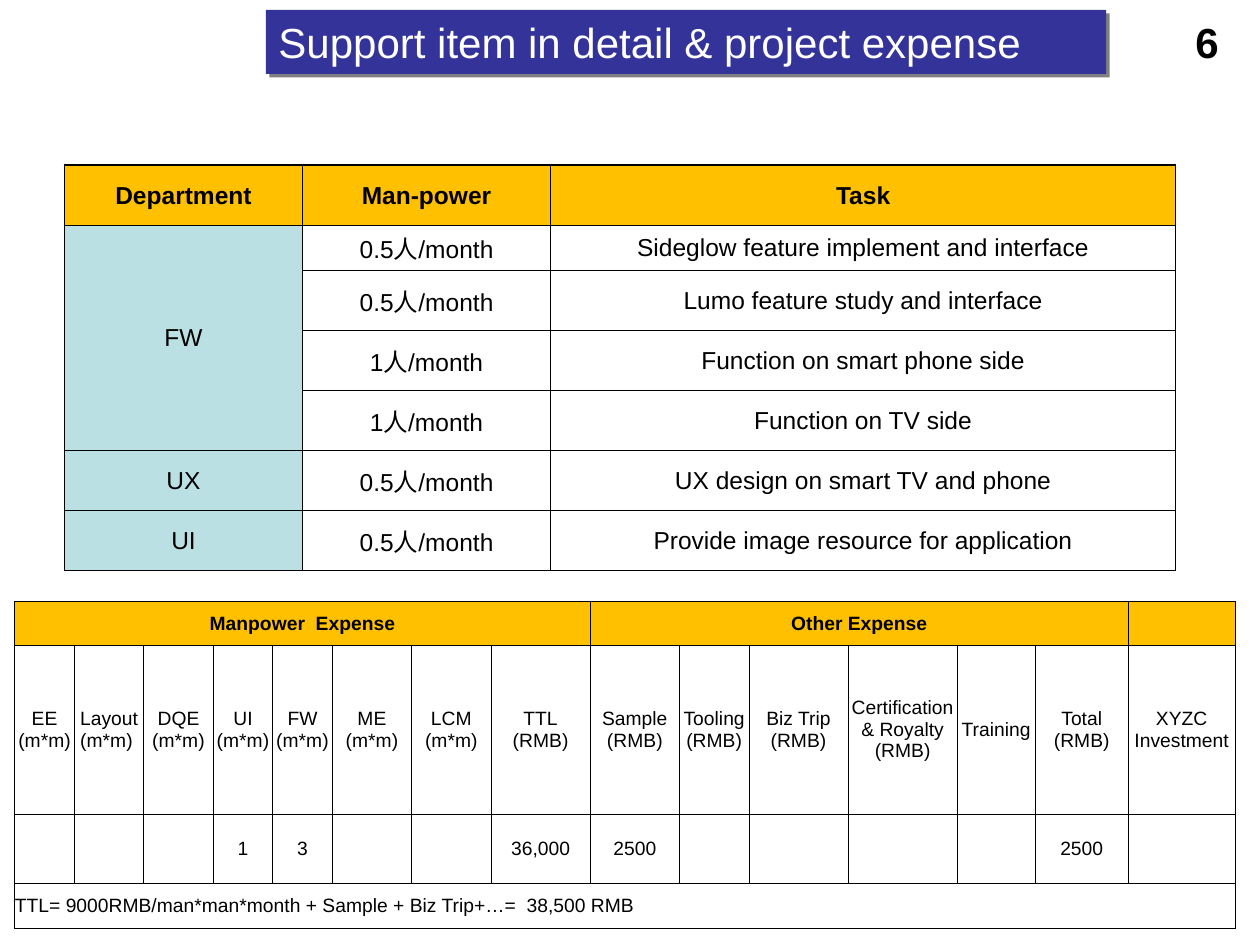
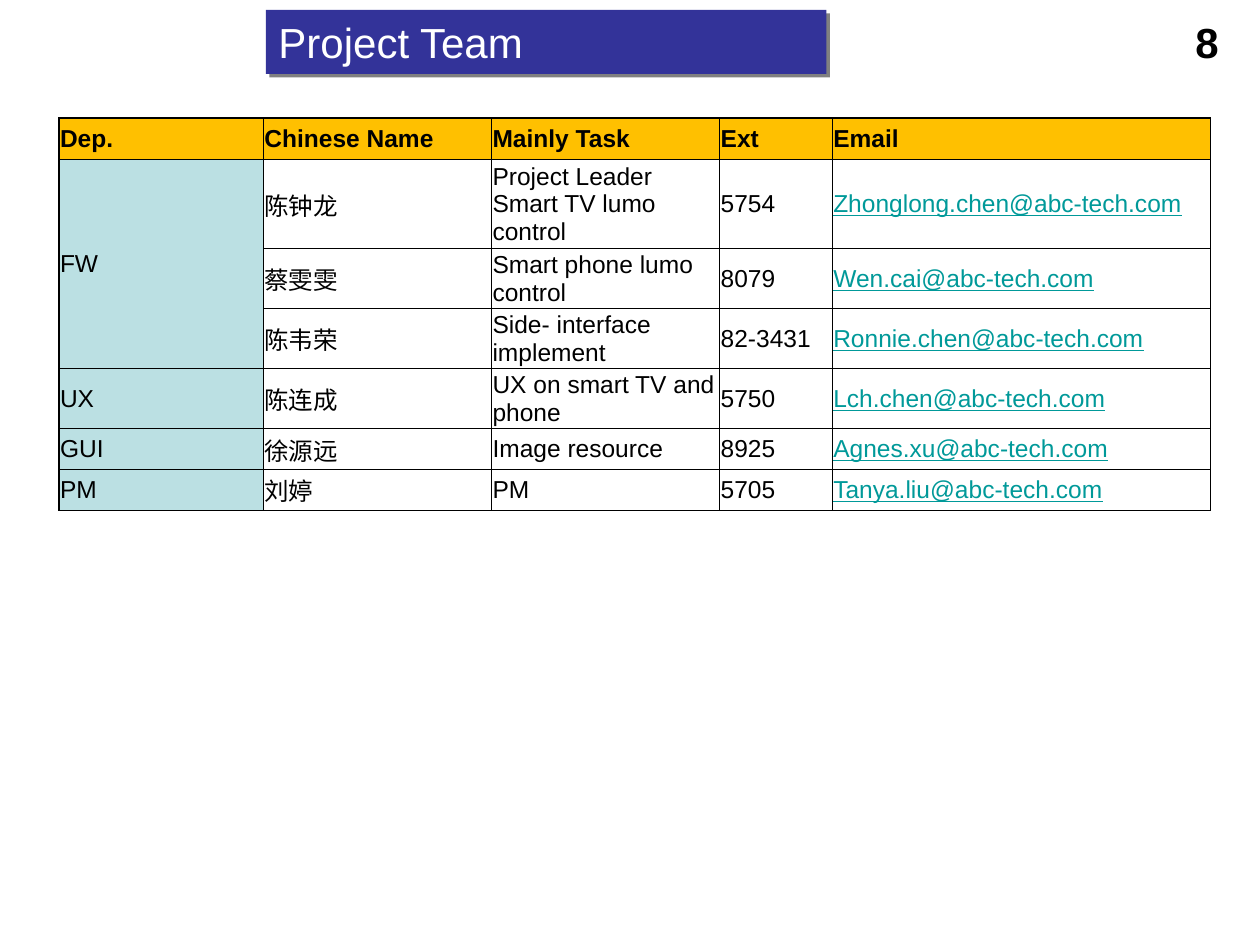
from lxml.etree import SubElement
from pptx import Presentation
from pptx.dml.color import RGBColor
from pptx.enum.text import MSO_ANCHOR, MSO_AUTO_SIZE, PP_ALIGN
from pptx.oxml.ns import qn
from pptx.util import Cm, Pt

GOLD = RGBColor(0xFF, 0xC0, 0x00)
PALE_TEAL = RGBColor(0xBB, 0xE0, 0xE3)
INDIGO = RGBColor(0x33, 0x33, 0x99)
LINK_TEAL = RGBColor(0x00, 0x99, 0x99)
BLACK = RGBColor(0x00, 0x00, 0x00)
WHITE = RGBColor(0xFF, 0xFF, 0xFF)
GREY = RGBColor(0x80, 0x80, 0x80)
FONT = "Arial"
CHINESE_FONT = "Noto Sans CJK SC"

presentation = Presentation()
presentation.slide_width = Cm(25.4)
presentation.slide_height = Cm(19.05)


def format_text(text_frame, size, color=BLACK, bold=False, alignment=PP_ALIGN.LEFT):
    for paragraph in text_frame.paragraphs:
        paragraph.alignment = alignment
        for run in paragraph.runs:
            run.font.name = FONT
            run.font.size = Pt(size)
            run.font.bold = bold
            run.font.underline = color == LINK_TEAL
            run.font.color.rgb = color
            SubElement(run.font._element, qn("a:ea"), typeface=CHINESE_FONT)


def add_grid(slide, left, top, widths, heights, rows, merges, size, inset=0,
             alignment=PP_ALIGN.LEFT, departments=True, heavy_sides=""):
    table = slide.shapes.add_table(len(heights), len(widths), Cm(left), Cm(top),
                                   Cm(sum(widths)), Cm(sum(heights))).table
    table.first_row = False
    table.horz_banding = False
    for column, width in zip(table.columns, widths):
        column.width = Cm(width)
    for row, height in zip(table.rows, heights):
        row.height = Cm(height)
    for row_index, row in enumerate(rows):
        for column_index, text in enumerate(row):
            cell = table.cell(row_index, column_index)
            cell.margin_left = cell.margin_right = cell.margin_top = Cm(inset)
            cell.margin_bottom = 0
            cell.vertical_anchor = MSO_ANCHOR.MIDDLE
            cell.text_frame.text = text
            format_text(cell.text_frame, size, LINK_TEAL if "@" in text else BLACK,
                        row_index == 0, alignment)
            edges = {"L": column_index == 0, "R": column_index == len(widths) - 1,
                     "T": row_index == 0, "B": False}
            for side, is_outer in edges.items():
                weight = Pt(1 if is_outer and side in heavy_sides else 0.5)
                line = SubElement(cell._tc.get_or_add_tcPr(), qn(f"a:ln{side}"), w=str(weight))
                SubElement(SubElement(line, qn("a:solidFill")), qn("a:srgbClr"), val=str(BLACK))
            if row_index == 0 or departments and column_index == 0:
                cell.fill.solid()
                cell.fill.fore_color.rgb = PALE_TEAL if row_index else GOLD
            else:
                cell.fill.background()
    for first_row, first_column, last_row, last_column in merges:
        table.cell(first_row, first_column).merge(table.cell(last_row, last_column))
    return table


slides = []
for heading, heading_width, number in [
    ("Support item in detail & project expense", 16.94, "6"),
    ("Project Team", 11.3, "8"),
]:
    slide = presentation.slides.add_slide(presentation.slide_layouts[5])
    slides.append(slide)

    title = slide.shapes.title
    title.left, title.top, title.width, title.height = Cm(5.36), Cm(0.2), Cm(heading_width), Cm(1.29)
    title.fill.solid()
    title.fill.fore_color.rgb = INDIGO
    title.line.fill.background()
    title.shadow.inherit = False
    effects = title._element.spPr.find(qn("a:effectLst"))
    shadow = SubElement(effects, qn("a:outerShdw"), dist=str(Pt(2.8)), dir="2700000",
                        algn="ctr", rotWithShape="0")
    SubElement(shadow, qn("a:srgbClr"), val=str(GREY))
    title.text_frame.text = heading
    title.text_frame.word_wrap = True
    title.text_frame.auto_size = MSO_AUTO_SIZE.NONE
    title.text_frame.vertical_anchor = MSO_ANCHOR.MIDDLE
    format_text(title.text_frame, 24, WHITE)

    number_box = slide.shapes.add_textbox(Cm(18.9), Cm(0.2), Cm(5.92), Cm(1.3))
    number_box.text_frame.text = number
    number_box.text_frame.word_wrap = True
    number_box.text_frame.vertical_anchor = MSO_ANCHOR.MIDDLE
    format_text(number_box.text_frame, 24, bold=True, alignment=PP_ALIGN.RIGHT)

expense_slide, team_slide = slides

support_rows = [
    ["Department", "Man-power", "Task"],
    ["FW", "0.5人/month", "Sideglow feature implement and interface"],
    ["", "0.5人/month", "Lumo feature study and interface"],
    ["", "1人/month", "Function on smart phone side"],
    ["", "1人/month", "Function on TV side"],
    ["UX", "0.5人/month", "UX design on smart TV and phone"],
    ["UI", "0.5人/month", "Provide image resource for application"],
]
add_grid(expense_slide, 1.3, 3.33, [4.8, 5, 12.6], [1.21, 0.91] + [1.21] * 5,
         support_rows, [(1, 0, 4, 0)], 14, 0.02, PP_ALIGN.CENTER, heavy_sides="LT")

expense_widths = [1.2, 1.4, 1.4, 1.2, 1.2, 1.6, 1.6, 2, 1.8, 1.4, 2, 2.2, 1.57, 1.88, 2.15]
expense_columns = [
    "EE\n(m*m)", "Layout\n(m*m) ", "DQE\n(m*m)", "UI\n(m*m)", "FW\n(m*m)", "ME\n(m*m)",
    "LCM (m*m)", "TTL\n(RMB)", "Sample\n(RMB)", "Tooling\n(RMB)", "Biz Trip\n(RMB)",
    "Certification & Royalty (RMB)", "Training", "Total\n(RMB)", "XYZC Investment",
]
expense_rows = [
    ["Manpower  Expense"] + [""] * 7 + ["Other Expense"] + [""] * 6,
    expense_columns,
    ["", "", "", "1", "3", "", "", "36,000", "2500", "", "", "", "", "2500", ""],
    ["TTL= 9000RMB/man*man*month + Sample + Biz Trip+…=  38,500 RMB"] + [""] * 14,
]
expense_table = add_grid(
    expense_slide, 0.3, 12.12, expense_widths, [0.89, 3.4, 1.4, 0.91], expense_rows,
    [(0, 0, 0, 7), (0, 8, 0, 13), (3, 0, 3, 14)], 11, alignment=PP_ALIGN.CENTER,
    departments=False)
expense_table.cell(3, 0).text_frame.paragraphs[0].alignment = PP_ALIGN.LEFT

team_rows = [
    ["Dep.", "Chinese Name", "Mainly Task", "Ext", "Email"],
    ["FW", "陈钟龙", "Project Leader\nSmart TV lumo control", "5754", "Zhonglong.chen@abc-tech.com"],
    ["", "蔡雯雯", "Smart phone lumo control", "8079", "Wen.cai@abc-tech.com"],
    ["", "陈韦荣", "Side- interface implement", "82-3431", "Ronnie.chen@abc-tech.com"],
    ["UX", "陈连成", "UX on smart TV and phone", "5750", "Lch.chen@abc-tech.com"],
    ["GUI", "徐源远", "Image resource", "8925", "Agnes.xu@abc-tech.com"],
    ["PM", "刘婷", "PM", "5705", "Tanya.liu@abc-tech.com"],
]
add_grid(team_slide, 1.19, 2.38, [4.12, 4.6, 4.6, 2.27, 7.62],
         [0.83, 1.8, 1.21, 1.21, 1.21, 0.82, 0.82], team_rows, [(1, 0, 3, 0)], 14, 0.02,
         heavy_sides="LTR")

presentation.save("out.pptx")
